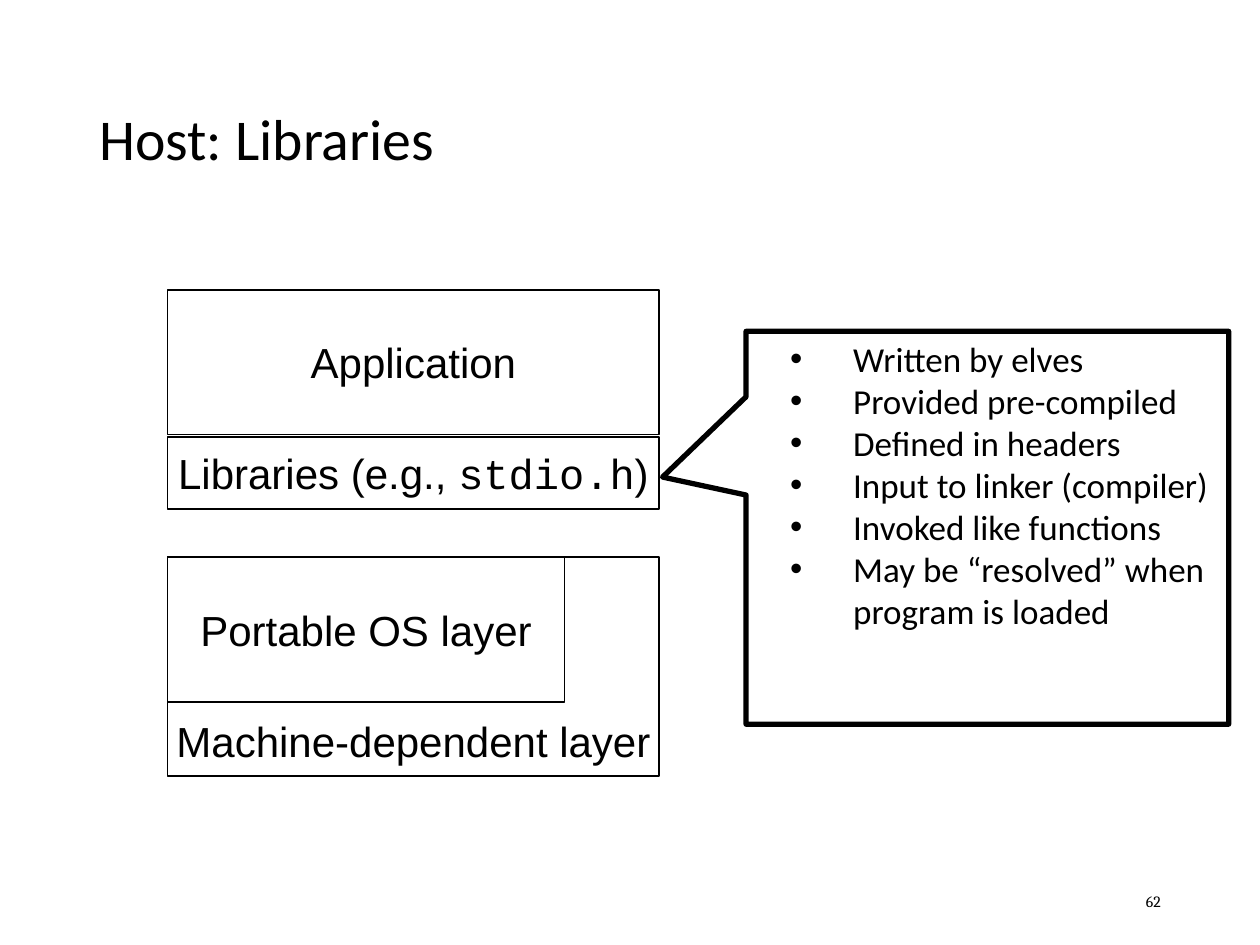
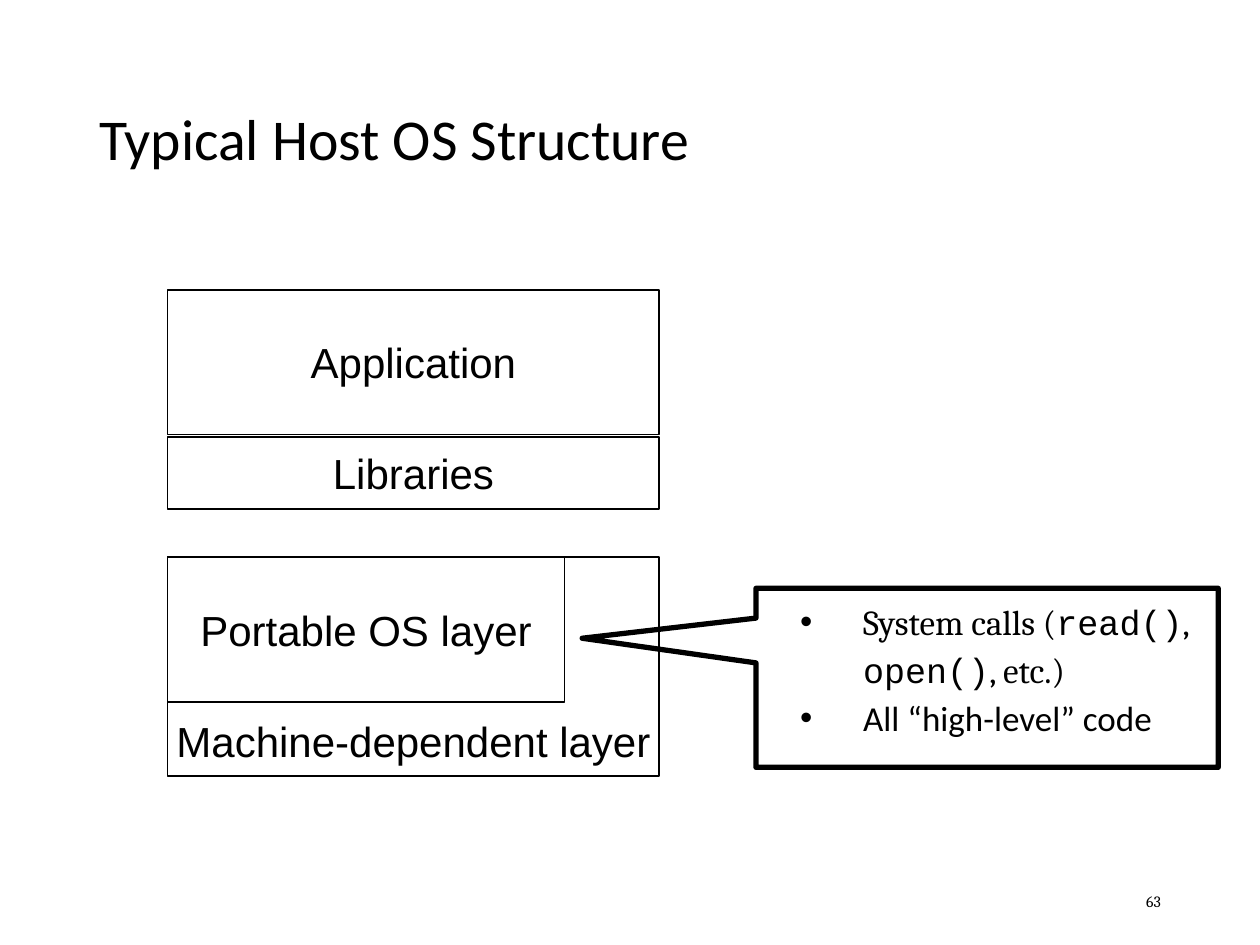
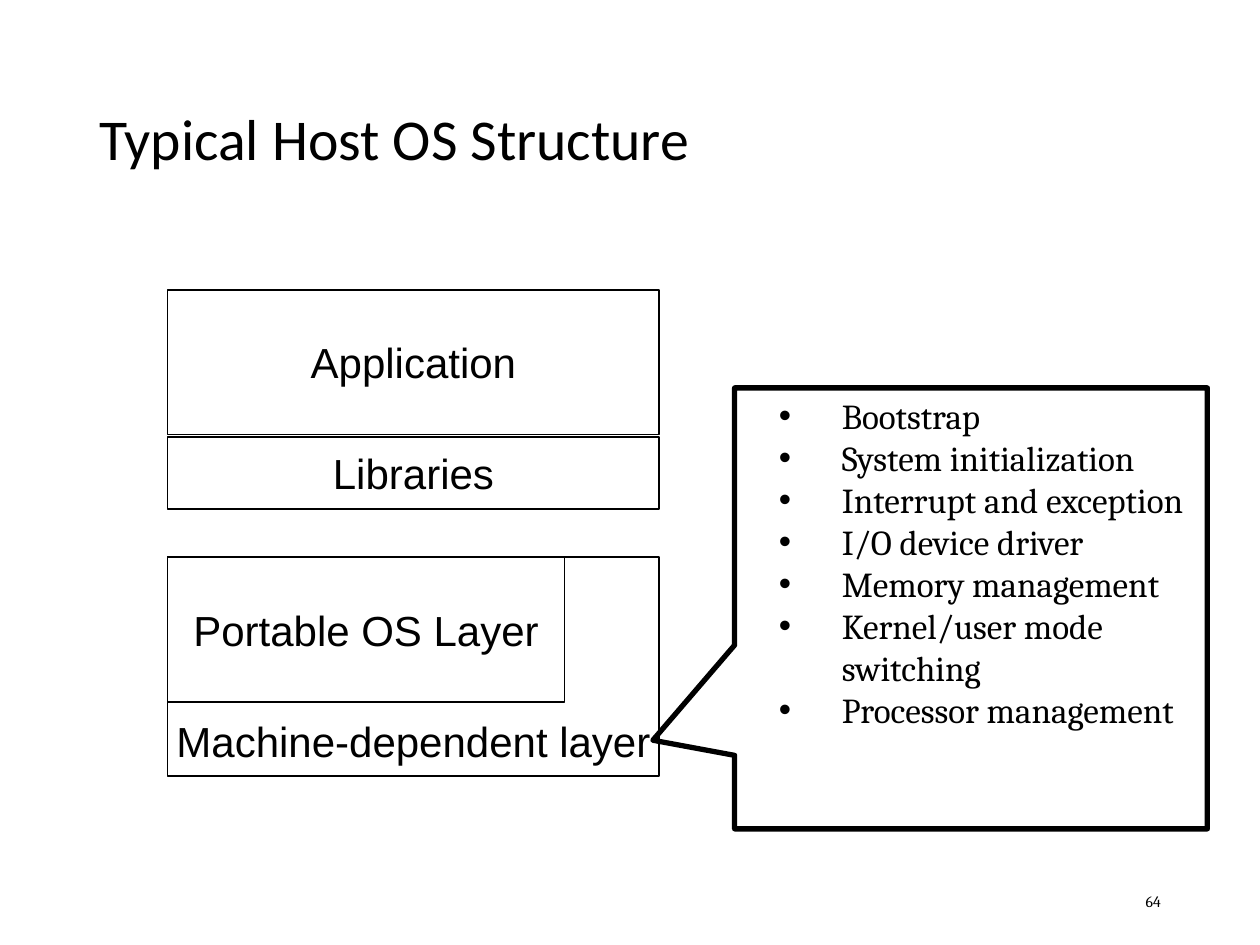
from dataclasses import dataclass

from lxml import etree
from pptx import Presentation
from pptx.dml.color import RGBColor
from pptx.enum.shapes import MSO_SHAPE
from pptx.enum.text import MSO_ANCHOR, PP_ALIGN
from pptx.oxml.ns import qn
from pptx.util import Cm, Pt

RECTANGLE = MSO_SHAPE.RECTANGLE
CALLOUT = MSO_SHAPE.RECTANGULAR_CALLOUT
TOP, MIDDLE, BOTTOM = MSO_ANCHOR.TOP, MSO_ANCHOR.MIDDLE, MSO_ANCHOR.BOTTOM
LEFT, CENTER, RIGHT = PP_ALIGN.LEFT, PP_ALIGN.CENTER, PP_ALIGN.RIGHT


@dataclass(frozen=True)
class Theme:
    ink: RGBColor = RGBColor(0, 0, 0)
    sans: str = "Calibri"
    serif: str = "Cambria"
    diagram: str = "Arial"
    code: str = "Courier New"
    title_size: int = 33
    layer_size: int = 24
    bullet_size: int = 20
    number_size: int = 9
    layer_line: int = 1
    callout_line: int = 3


THEME = Theme()
FIRST_NUMBER = 62

SLIDES = [
    {
        "title": "Host: Libraries",
        "libraries": [("Libraries (e.g., ", THEME.diagram), ("stdio.h", THEME.code), (")", THEME.diagram)],
        "portable": "Portable OS layer",
        "callout": {
            "box": (15.04, 6.68, 9.73, 7.92),
            "tip": (-0.673, -0.129),
            "font": THEME.sans,
            "spacing": 1.0,
            "bullets": [
                "Written by elves",
                "Provided pre-compiled",
                "Defined in headers",
                "Input to linker (compiler)",
                "Invoked like functions",
                "May be “resolved” when program is loaded",
            ],
        },
    },
    {
        "title": "Typical Host OS Structure",
        "libraries": "Libraries",
        "portable": "Portable OS layer",
        "callout": {
            "box": (15.24, 11.86, 9.32, 3.61),
            "tip": (-0.876, -0.221),
            "font": THEME.sans,
            "spacing": 1.14,
            "bullets": [
                [
                    ("System calls (", THEME.serif),
                    ("read()", THEME.code),
                    (", ", THEME.serif),
                    ("open()", THEME.code),
                    (", etc.)", THEME.serif),
                ],
                "All “high-level” code",
            ],
        },
    },
    {
        "title": "Typical Host OS Structure",
        "libraries": "Libraries",
        "portable": "Portable OS Layer",
        "callout": {
            "box": (14.81, 7.82, 9.53, 8.89),
            "tip": (-0.673, 0.299),
            "font": THEME.serif,
            "spacing": 1.0,
            "bullets": [
                "Bootstrap",
                "System initialization",
                "Interrupt and exception",
                "I/O device driver",
                "Memory management",
                "Kernel/user mode switching",
                "Processor management",
            ],
        },
    },
]

TITLE_BOX = (1.75, 1.02, 21.89, 3.68)
NUMBER_BOX = (17.93, 17.65, 5.72, 1.02)
STACK_LEFT, STACK_WIDTH = 3.38, 9.91
PORTABLE_WIDTH = 8.0
TALL, SHORT = 2.92, 1.45
APPLICATION_TOP = 5.84
LIBRARIES_TOP = APPLICATION_TOP + TALL + 0.05
KERNEL_TOP = 11.23
KERNEL_HEIGHT = TALL + 1.5
BULLET_MARGIN, BULLET_HANG = 1.91, 1.27


def lengths(box):
    return [Cm(value) for value in box]


def write(paragraph, content, font, size, alignment):
    runs = [(content, font)] if isinstance(content, str) else content
    paragraph.alignment = alignment
    for text, name in runs:
        run = paragraph.add_run()
        run.text = text
        run.font.name = name
        run.font.size = Pt(size)
        run.font.color.rgb = THEME.ink


def add_label(slide, box, content, font, size, alignment):
    text_frame = slide.shapes.add_textbox(*lengths(box)).text_frame
    text_frame.word_wrap = True
    text_frame.vertical_anchor = MIDDLE
    write(text_frame.paragraphs[0], content, font, size, alignment)
    return text_frame.paragraphs[0]


def add_outline(slide, kind, box, line_width):
    shape = slide.shapes.add_shape(kind, *lengths(box))
    shape.shadow.inherit = False
    shape.fill.background()
    shape.line.color.rgb = THEME.ink
    shape.line.width = Pt(line_width)
    return shape


def add_layer(slide, top, width, height, content, anchor=MIDDLE):
    box = (STACK_LEFT, top, width, height)
    text_frame = add_outline(slide, RECTANGLE, box, THEME.layer_line).text_frame
    text_frame.word_wrap = False
    text_frame.vertical_anchor = anchor
    if anchor == BOTTOM:
        text_frame.margin_bottom = Cm(0.2)
    write(text_frame.paragraphs[0], content, THEME.diagram, THEME.layer_size, CENTER)


def add_bullet(paragraph):
    properties = paragraph._p.get_or_add_pPr()
    properties.set("marL", str(Cm(BULLET_MARGIN)))
    properties.set("indent", str(-Cm(BULLET_HANG)))
    etree.SubElement(properties, qn("a:buFont"), typeface=THEME.diagram)
    etree.SubElement(properties, qn("a:buChar"), char="•")


def add_callout(slide, callout):
    shape = add_outline(slide, CALLOUT, callout["box"], THEME.callout_line)
    for index, offset in enumerate(callout["tip"]):
        shape.adjustments[index] = offset
    text_frame = shape.text_frame
    text_frame.word_wrap = True
    text_frame.vertical_anchor = TOP
    for index, content in enumerate(callout["bullets"]):
        paragraph = text_frame.add_paragraph() if index else text_frame.paragraphs[0]
        add_bullet(paragraph)
        paragraph.line_spacing = callout["spacing"]
        write(paragraph, content, callout["font"], THEME.bullet_size, LEFT)


def build_slide(presentation, number, content):
    slide = presentation.slides.add_slide(presentation.slide_layouts[6])
    add_layer(slide, KERNEL_TOP, STACK_WIDTH, KERNEL_HEIGHT, "Machine-dependent layer", BOTTOM)
    title = add_label(slide, TITLE_BOX, content["title"], THEME.sans, THEME.title_size, LEFT)
    title.line_spacing = 0.9
    add_label(slide, NUMBER_BOX, str(number), THEME.serif, THEME.number_size, RIGHT)
    add_layer(slide, APPLICATION_TOP, STACK_WIDTH, TALL, "Application")
    add_layer(slide, KERNEL_TOP, PORTABLE_WIDTH, TALL, content["portable"])
    add_layer(slide, LIBRARIES_TOP, STACK_WIDTH, SHORT, content["libraries"])
    add_callout(slide, content["callout"])


def main():
    presentation = Presentation()
    presentation.slide_width = Cm(25.4)
    presentation.slide_height = Cm(19.05)
    for number, content in enumerate(SLIDES, FIRST_NUMBER):
        build_slide(presentation, number, content)
    presentation.save("out.pptx")


if __name__ == "__main__":
    main()
